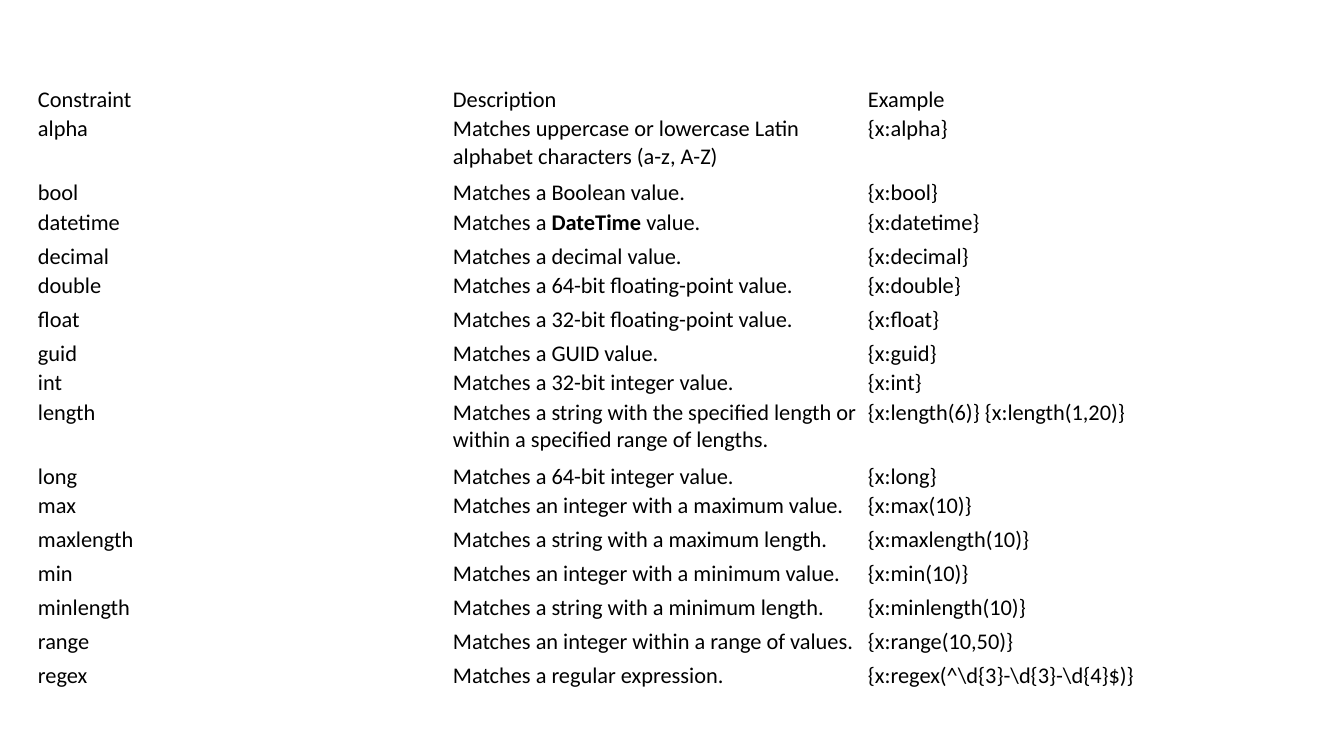
from pptx import Presentation
from pptx.dml.color import RGBColor
from pptx.util import Emu, Pt

EMU_PER_PX = 914400 / 100.8
THEME = {"font": "Calibri", "size": Pt(16), "text": RGBColor(0, 0, 0)}


def px(length):
    return Emu(round(length * EMU_PER_PX))


HEADER, SHORT, NORMAL, DOUBLE = 14, 24, 34, 64
COLUMN_WIDTH = 415

# Row height, constraint, description (** marks bold), example
constraints = [
    (HEADER, "Constraint", "Description", "Example"),
    (DOUBLE, "alpha", "Matches uppercase or lowercase Latin alphabet characters (a-z, A-Z)", "{x:alpha}"),
    (SHORT, "bool", "Matches a Boolean value.", "{x:bool}"),
    (NORMAL, "datetime", "Matches a **DateTime** value.", "{x:datetime}"),
    (SHORT, "decimal", "Matches a decimal value.", "{x:decimal}"),
    (NORMAL, "double", "Matches a 64-bit floating-point value.", "{x:double}"),
    (NORMAL, "float", "Matches a 32-bit floating-point value.", "{x:float}"),
    (SHORT, "guid", "Matches a GUID value.", "{x:guid}"),
    (SHORT, "int", "Matches a 32-bit integer value.", "{x:int}"),
    (DOUBLE, "length", "Matches a string with the specified length or within a specified range of lengths.",
     "{x:length(6)} {x:length(1,20)}"),
    (SHORT, "long", "Matches a 64-bit integer value.", "{x:long}"),
    (NORMAL, "max", "Matches an integer with a maximum value.", "{x:max(10)}"),
    (NORMAL, "maxlength", "Matches a string with a maximum length.", "{x:maxlength(10)}"),
    (NORMAL, "min", "Matches an integer with a minimum value.", "{x:min(10)}"),
    (NORMAL, "minlength", "Matches a string with a minimum length.", "{x:minlength(10)}"),
    (NORMAL, "range", "Matches an integer within a range of values.", "{x:range(10,50)}"),
    (NORMAL, "regex", "Matches a regular expression.", r"{x:regex(^\d{3}-\d{3}-\d{4}$)}"),
]

prs = Presentation()
prs.slide_width, prs.slide_height = px(1344), px(756)
slide = prs.slides.add_slide(prs.slide_layouts[6])

total_height = sum(height for height, *_ in constraints)
reference = slide.shapes.add_table(
    len(constraints), 3, px(35), px(85), px(3 * COLUMN_WIDTH), px(total_height)).table
reference.first_row = False
reference.horz_banding = False
for column in reference.columns:
    column.width = px(COLUMN_WIDTH)

cell_margins = {"margin_left": px(3), "margin_right": px(3),
                "margin_top": px(1), "margin_bottom": px(1)}

for row, (height, *entries) in zip(reference.rows, constraints):
    row.height = px(height)
    for cell, entry in zip(row.cells, entries):
        cell.fill.background()
        for margin, value in cell_margins.items():
            setattr(cell, margin, value)
        paragraph = cell.text_frame.paragraphs[0]
        for index, part in enumerate(entry.split("**")):
            run = paragraph.add_run()
            run.text = part
            run.font.name = THEME["font"]
            run.font.size = THEME["size"]
            run.font.color.rgb = THEME["text"]
            run.font.bold = index % 2 == 1

prs.save("out.pptx")
